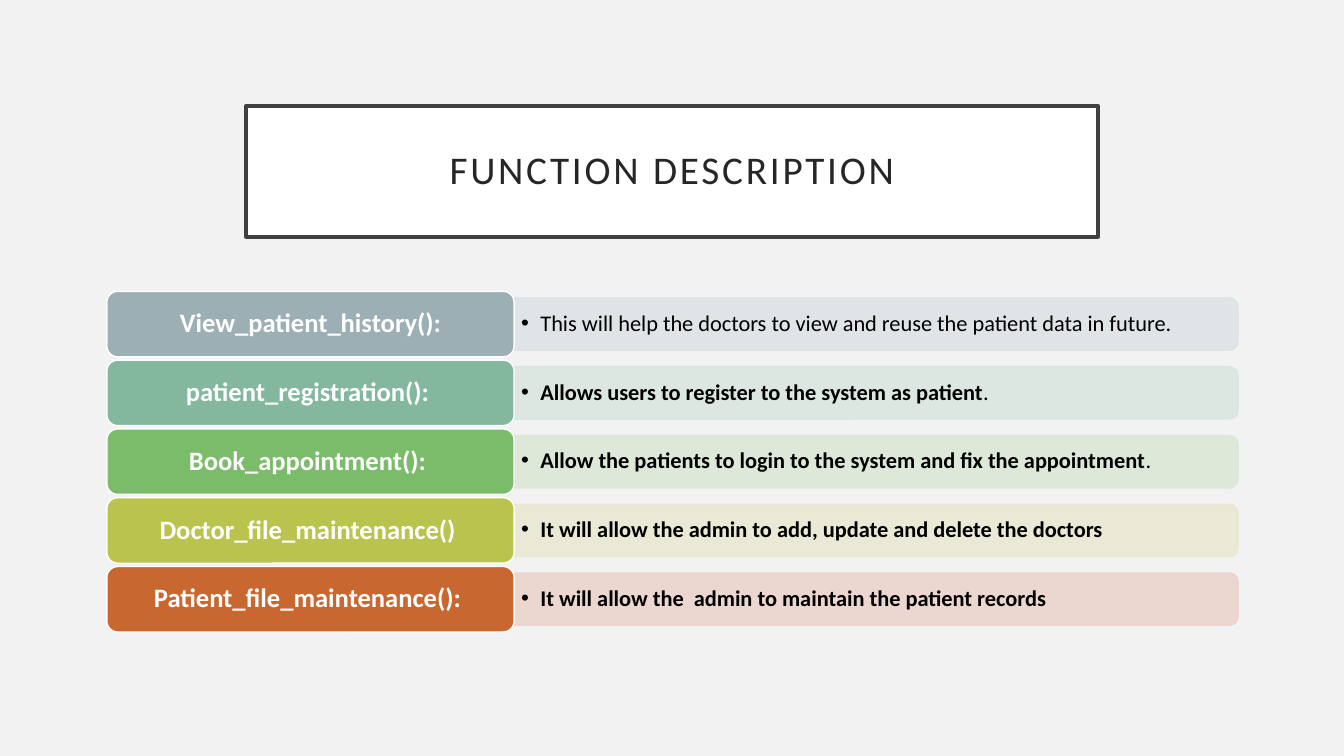
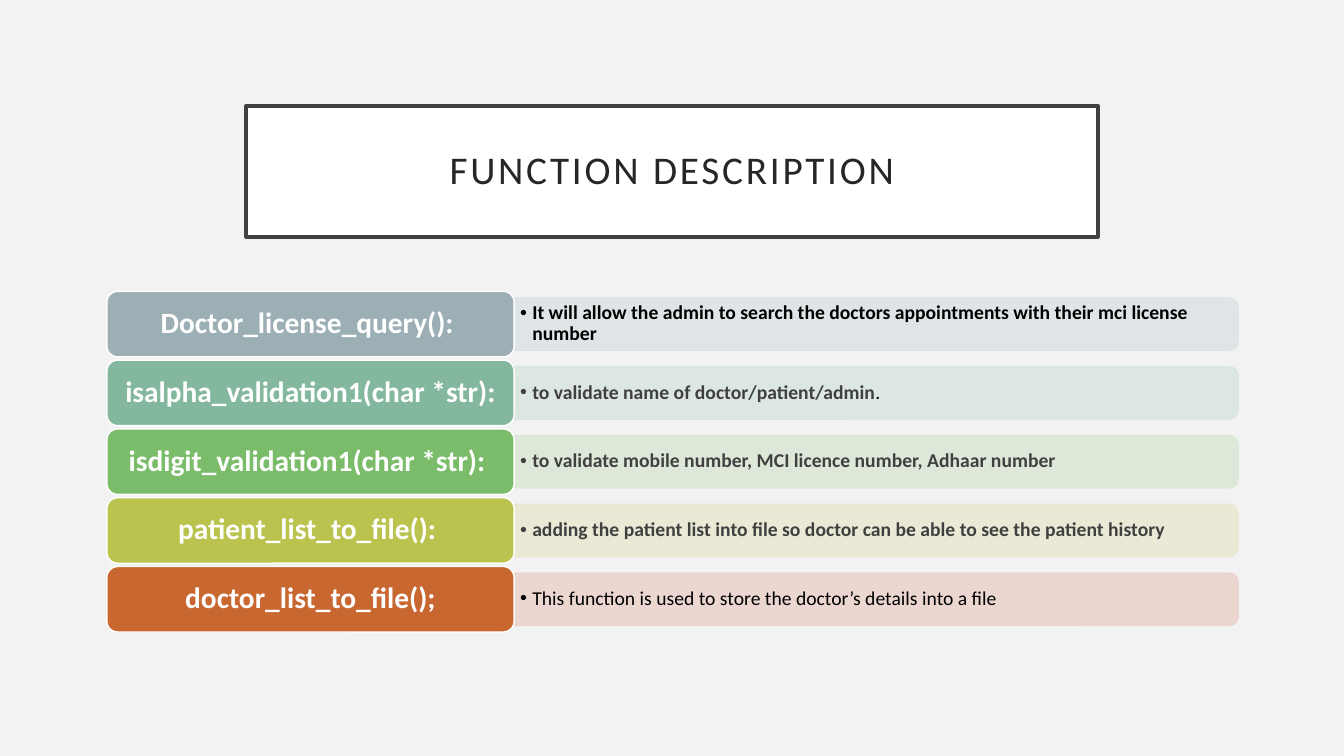
from dataclasses import dataclass

from lxml import etree
from pptx import Presentation
from pptx.dml.color import RGBColor
from pptx.enum.shapes import MSO_SHAPE
from pptx.enum.text import MSO_ANCHOR, PP_ALIGN
from pptx.oxml.ns import qn
from pptx.util import Inches, Pt

RECTANGLE = MSO_SHAPE.RECTANGLE
ROUNDED = MSO_SHAPE.ROUNDED_RECTANGLE
ROUND_TOP = MSO_SHAPE.ROUND_2_SAME_RECTANGLE
MIDDLE = MSO_ANCHOR.MIDDLE
LEFT, CENTER = PP_ALIGN.LEFT, PP_ALIGN.CENTER


@dataclass(frozen=True)
class Theme:
    font: str = "Calibri"
    background: str = "F2F2F2"
    white: str = "FFFFFF"
    black: str = "000000"
    grey: str = "404040"
    title_text: str = "262626"
    title_size: int = 28
    title_spacing: int = 2
    line_spacing: float = 0.9
    bar_opacity: int = 90
    row_colors: tuple = (  # label, bar
        ("9BAFB5", "DEE3E5"),
        ("83B79E", "DAE6E0"),
        ("7ABC69", "DBE8D6"),
        ("BAC34D", "E9E9D2"),
        ("C96731", "EBD3CD"),
    )


THEME = Theme()
PLAIN = {"bold": False, "color": THEME.black}
BOLD = {"bold": True, "color": THEME.black}
BOLD_GREY = {"bold": True, "color": THEME.grey}

SLIDES = [
    {
        "title": "FUNCTION DESCRIPTION",
        "label_size": 19, "label_inset": 0.11,
        "text_size": 16, "text_inset": 0.07, "indent": 0.19,
        "rows": [
            ("View_patient_history():",
             [("This will help the doctors to view and reuse the patient data in future.", PLAIN)]),
            ("patient_registration(): ",
             [("Allows users to register to the system as patient", BOLD), (".", PLAIN)]),
            ("Book_appointment(): ",
             [("Allow the patients to login to the system and fix the appointment", BOLD),
              (".", PLAIN)]),
            ("Doctor_file_maintenance() ",
             [("It will allow the admin to add, update and delete the doctors", BOLD)]),
            ("Patient_file_maintenance(): ",
             [("It will allow the  admin to maintain the patient records", BOLD)]),
        ],
    },
    {
        "title": "FUNCTION DESCRIPTION",
        "label_size": 21, "label_inset": 0.12,
        "text_size": 14, "text_inset": 0.06, "indent": 0.12,
        "rows": [
            ("Doctor_license_query(): ",
             [("It will allow the admin to search the doctors appointments "
               "with their mci license number", BOLD)]),
            ("isalpha_validation1(char *str): ",
             [("to validate name of doctor/patient/admin", BOLD_GREY), (".", PLAIN)]),
            ("isdigit_validation1(char *str): ",
             [("to validate mobile number, MCI licence number, Adhaar number", BOLD_GREY)]),
            ("patient_list_to_file(): ",
             [("adding the patient list into file so doctor can be able "
               "to see the patient history", BOLD_GREY)]),
            ("doctor_list_to_file();",
             [("This function is used to store the doctor’s details into a file", PLAIN)]),
        ],
    },
]

TITLE_AREA = (2.44, 1.05, 8.45, 1.3)
FIRST_TOP, LAST_TOP = 2.89, 5.62
LABEL_LEFT, LABEL_WIDTH, LABEL_HEIGHT = 1.06, 4.04, 0.65
BAR_LEFT = LABEL_LEFT + LABEL_WIDTH
BAR_LENGTH, BAR_THICKNESS = 7.18, 0.52
TEXT_WIDTH, TEXT_HEIGHT = 7.16, 0.47


def add_box(page, kind, area, fill, line, line_width):
    box = page.shapes.add_shape(kind, *map(Inches, area))
    box.shadow.inherit = False
    box.fill.solid()
    box.fill.fore_color.rgb = RGBColor.from_string(fill)
    box.line.color.rgb = RGBColor.from_string(line)
    box.line.width = Pt(line_width)
    return box


def write(box, spans, size, align, inset_x, inset_y, indent=0):
    """Fill the box with one paragraph; an indent makes it a bullet."""
    frame = box.text_frame
    settings = {
        "word_wrap": True, "vertical_anchor": MIDDLE,
        "margin_left": Inches(inset_x), "margin_right": Inches(inset_x),
        "margin_top": Inches(inset_y), "margin_bottom": Inches(inset_y),
    }
    for name, value in settings.items():
        setattr(frame, name, value)
    para = frame.paragraphs[0]
    para.alignment = align
    para.line_spacing = THEME.line_spacing
    if indent:
        properties = para._p.get_or_add_pPr()
        properties.set("marL", str(Inches(indent)))
        properties.set("indent", str(-Inches(indent)))
        etree.SubElement(properties, qn("a:buFont")).set("typeface", "Arial")
        etree.SubElement(properties, qn("a:buChar")).set("char", "•")
    for text, style in spans:
        span = para.add_run()
        span.text = text
        for name, value in {"name": THEME.font, "size": Pt(size), "bold": style["bold"]}.items():
            setattr(span.font, name, value)
        span.font.color.rgb = RGBColor.from_string(style["color"])
    return para


def add_title(page, text):
    box = add_box(page, RECTANGLE, TITLE_AREA, THEME.white, THEME.grey, 2.5)
    style = {"bold": False, "color": THEME.title_text}
    para = write(box, [(text, style)], THEME.title_size, CENTER, 0.2, 0.2)
    para.runs[0].font._element.set("spc", str(THEME.title_spacing * 100))


def add_bar(page, middle, color):
    """Add a bar rounded at its right end: a round-topped shape turned by 90 degrees."""
    center = BAR_LEFT + BAR_LENGTH / 2
    area = (center - BAR_THICKNESS / 2, middle - BAR_LENGTH / 2, BAR_THICKNESS, BAR_LENGTH)
    bar = add_box(page, ROUND_TOP, area, color, color, 1)
    bar.rotation = 90
    for tint in bar._element.spPr.iter(qn("a:srgbClr")):
        etree.SubElement(tint, qn("a:alpha")).set("val", str(THEME.bar_opacity * 1000))


def add_row(page, top, colors, label, spans, content):
    label_color, bar_color = colors
    middle = top + LABEL_HEIGHT / 2
    add_bar(page, middle, bar_color)
    text_area = (BAR_LEFT, middle - TEXT_HEIGHT / 2, TEXT_WIDTH, TEXT_HEIGHT)
    text_box = page.shapes.add_textbox(*map(Inches, text_area))
    write(text_box, spans, content["text_size"], LEFT,
          content["text_inset"], 0.03, content["indent"])
    label_area = (LABEL_LEFT, top, LABEL_WIDTH, LABEL_HEIGHT)
    label_box = add_box(page, ROUNDED, label_area, label_color, THEME.white, 1)
    style = {"bold": True, "color": THEME.white}
    write(label_box, [(label, style)], content["label_size"], CENTER,
          content["label_inset"], 0.07)


def add_page(deck, content):
    page = deck.slides.add_slide(deck.slide_layouts[6])
    page.background.fill.solid()
    page.background.fill.fore_color.rgb = RGBColor.from_string(THEME.background)
    add_title(page, content["title"])
    rows = content["rows"]
    pitch = (LAST_TOP - FIRST_TOP) / (len(rows) - 1)
    for index, ((label, spans), colors) in enumerate(zip(rows, THEME.row_colors)):
        add_row(page, FIRST_TOP + index * pitch, colors, label, spans, content)


def main():
    deck = Presentation()
    deck.slide_width, deck.slide_height = Inches(13.33), Inches(7.5)
    for content in SLIDES:
        add_page(deck, content)
    deck.save("out.pptx")


if __name__ == "__main__":
    main()
